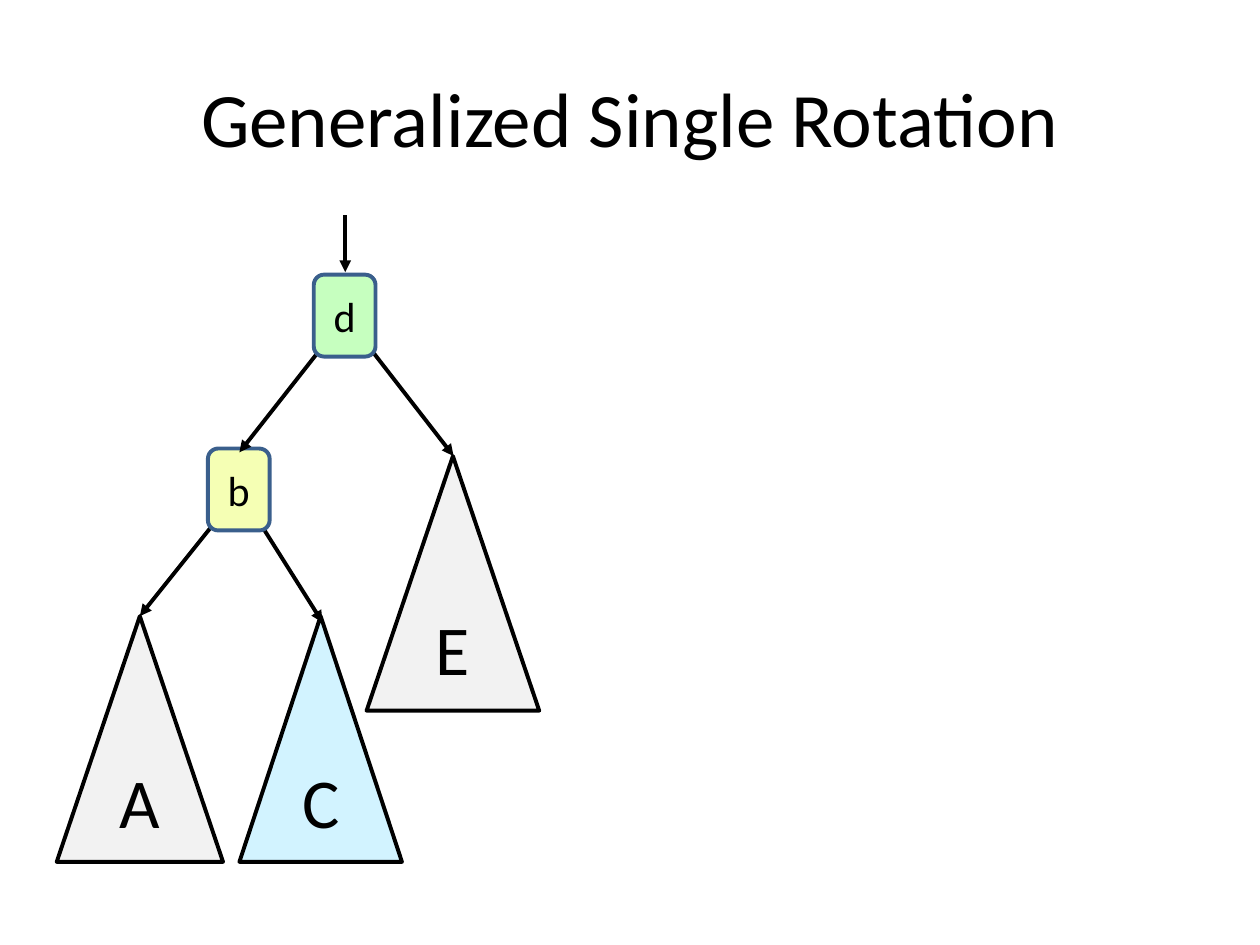
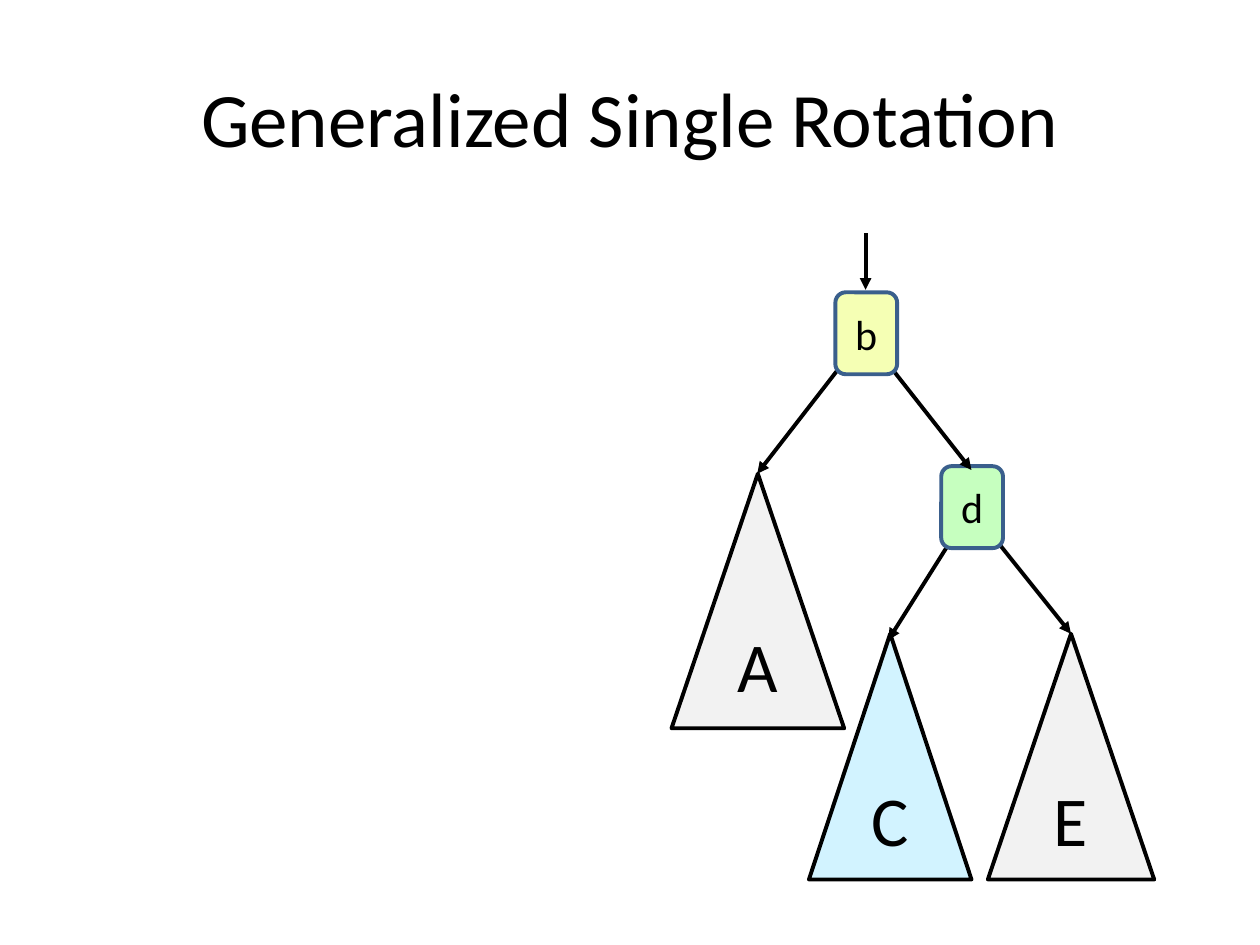
from dataclasses import dataclass
from typing import NamedTuple

from lxml.etree import SubElement
from pptx import Presentation
from pptx.dml.color import RGBColor
from pptx.enum.shapes import MSO_CONNECTOR, MSO_SHAPE
from pptx.enum.text import MSO_ANCHOR, PP_ALIGN
from pptx.oxml.ns import qn
from pptx.shapes.group import GroupShape
from pptx.slide import Slide
from pptx.text.text import TextFrame
from pptx.util import Inches, Pt

TITLE = "Generalized Single Rotation"
FONT = "Calibri"
BLACK, GREY, CYAN = "000000", "F2F2F2", "D2F3FF"
YELLOW, GREEN, NODE_BORDER = "F5FFB4", "C6FFBF", "3A5F8C"
LINE_WIDTH = Pt(2.25)
NODE_WIDTH, NODE_HEIGHT = 0.49, 0.65
MIRROR_SPAN = 9.61  # a mirrored x is this sum minus the plain x
MIRROR_DROP = 0.14


class Subtree(NamedTuple):
    left: float
    top: float
    width: float
    height: float
    fill: str


class Edge(NamedTuple):
    start_x: float
    start_y: float
    end_x: float
    end_y: float


@dataclass(frozen=True)
class Node:
    label: str
    fill: str


@dataclass(frozen=True)
class Rotation:
    """One state of the tree; subtree labels run from the upper one downwards."""
    subtree_labels: str
    root: Node
    child: Node
    mirrored: bool

    def place_x(self, left: float, width: float = 0) -> float:
        return MIRROR_SPAN - left - width if self.mirrored else left

    def place_y(self, top: float) -> float:
        return top + MIRROR_DROP if self.mirrored else top


SUBTREES = (
    Subtree(2.91, 3.62, 1.37, 2.02, GREY),
    Subtree(1.90, 4.89, 1.29, 1.95, CYAN),
    Subtree(0.45, 4.89, 1.32, 1.95, GREY),
)
LOWER_EDGES = (
    Edge(1.75, 4.09, 1.11, 4.89),
    Edge(2.05, 4.13, 2.56, 4.94),
    Edge(2.74, 1.71, 2.74, 2.16),
)
UPPER_EDGES = (
    Edge(2.91, 2.73, 3.60, 3.62),
    Edge(2.56, 2.75, 1.90, 3.59),
)
CHILD_CORNER = (1.65, 3.56)
ROOT_CORNER = (2.49, 2.18)

NODE_B, NODE_D = Node("b", YELLOW), Node("d", GREEN)
ROTATIONS = (
    Rotation("ECA", root=NODE_D, child=NODE_B, mirrored=False),
    Rotation("ACE", root=NODE_B, child=NODE_D, mirrored=True),
)


def color(value: str) -> RGBColor:
    return RGBColor.from_string(value)


def write(frame: TextFrame, text: str, *, size: float, fill: str = BLACK) -> None:
    frame.word_wrap = True
    frame.vertical_anchor = MSO_ANCHOR.MIDDLE
    paragraph = frame.paragraphs[0]
    paragraph.text = text
    paragraph.alignment = PP_ALIGN.CENTER
    paragraph.font.name = FONT
    paragraph.font.size = Pt(size)
    paragraph.font.color.rgb = color(fill)


def add_box(tree: GroupShape, rotation: Rotation, kind: MSO_SHAPE,
            left: float, top: float, width: float, height: float, *,
            label: str, size: float, fill: str, border: str) -> None:
    shape = tree.shapes.add_shape(
        kind, Inches(rotation.place_x(left, width)), Inches(rotation.place_y(top)),
        Inches(width), Inches(height))
    shape.shadow.inherit = False
    shape.fill.solid()
    shape.fill.fore_color.rgb = color(fill)
    shape.line.color.rgb = color(border)
    shape.line.width = LINE_WIDTH
    write(shape.text_frame, label, size=size)


def add_node(tree: GroupShape, rotation: Rotation, node: Node,
             corner: tuple[float, float]) -> None:
    add_box(tree, rotation, MSO_SHAPE.ROUNDED_RECTANGLE, *corner, NODE_WIDTH, NODE_HEIGHT,
            label=node.label, size=24, fill=node.fill, border=NODE_BORDER)


def add_edges(tree: GroupShape, rotation: Rotation, edges: tuple[Edge, ...]) -> None:
    for edge in edges:
        arrow = tree.shapes.add_connector(
            MSO_CONNECTOR.STRAIGHT,
            Inches(rotation.place_x(edge.start_x)), Inches(rotation.place_y(edge.start_y)),
            Inches(rotation.place_x(edge.end_x)), Inches(rotation.place_y(edge.end_y)))
        arrow.line.color.rgb = color(BLACK)
        arrow.line.width = LINE_WIDTH
        SubElement(arrow.line._get_or_add_ln(), qn("a:tailEnd"), type="triangle")
        SubElement(arrow._element.spPr, qn("a:effectLst"))


def add_title(slide: Slide) -> None:
    title = slide.shapes.title
    title.left, title.top = Inches(0.5), Inches(0.3)
    title.width, title.height = Inches(9), Inches(1.25)
    write(title.text_frame, TITLE, size=44)


def add_tree(slide: Slide, rotation: Rotation) -> None:
    tree = slide.shapes.add_group_shape()
    for subtree, label in zip(SUBTREES, rotation.subtree_labels):
        *bounds, fill = subtree
        add_box(tree, rotation, MSO_SHAPE.ISOSCELES_TRIANGLE, *bounds,
                label=label, size=40, fill=fill, border=BLACK)
    add_edges(tree, rotation, LOWER_EDGES)
    add_node(tree, rotation, rotation.child, CHILD_CORNER)
    add_edges(tree, rotation, UPPER_EDGES)
    add_node(tree, rotation, rotation.root, ROOT_CORNER)


def main() -> None:
    presentation = Presentation()
    presentation.slide_width, presentation.slide_height = Inches(10), Inches(7.5)
    title_only = presentation.slide_layouts.get_by_name("Title Only")
    for rotation in ROTATIONS:
        slide = presentation.slides.add_slide(title_only)
        add_title(slide)
        add_tree(slide, rotation)
    presentation.save("out.pptx")


if __name__ == "__main__":
    main()
